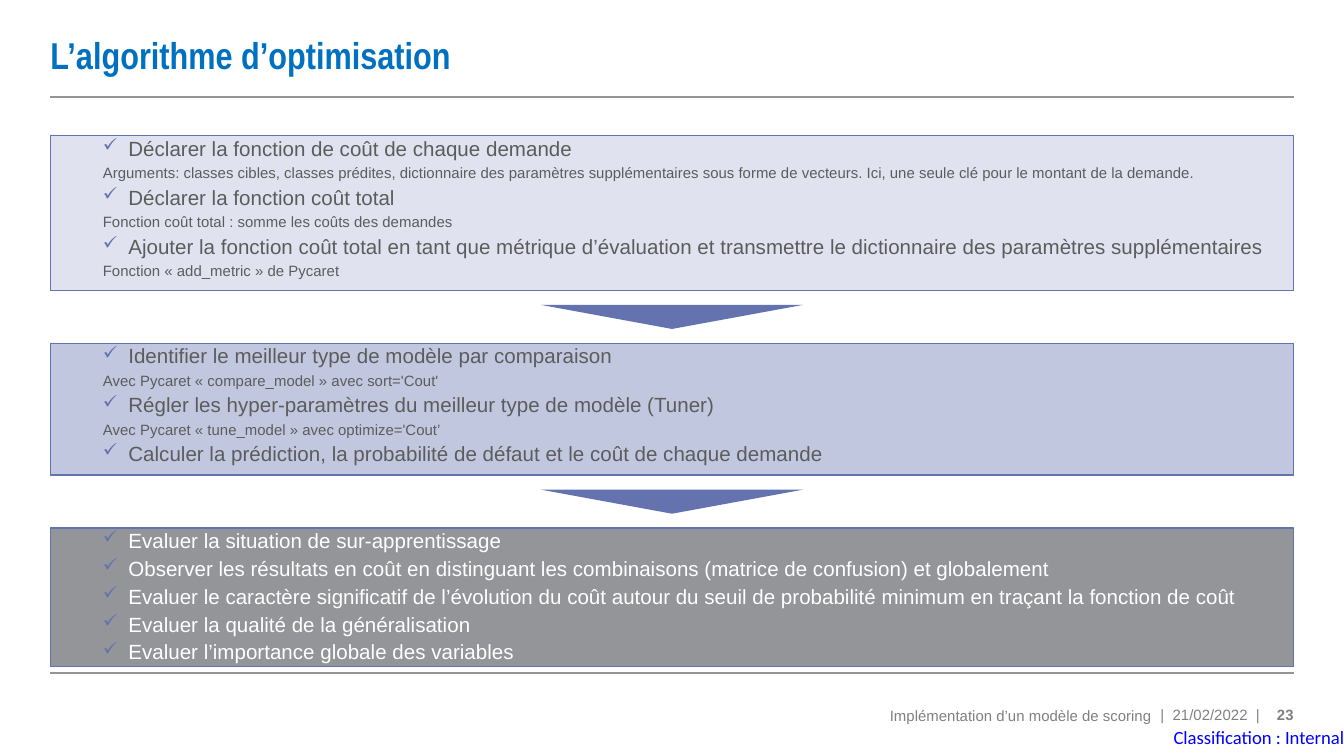
"""Build the slide on the optimisation algorithm as three stacked steps."""
from lxml.etree import SubElement
from pptx import Presentation
from pptx.dml.color import RGBColor
from pptx.enum.shapes import MSO_CONNECTOR, MSO_SHAPE
from pptx.enum.text import MSO_ANCHOR, PP_ALIGN
from pptx.oxml.ns import qn
from pptx.util import Inches, Pt

COLORS = {
    "title": "0070C0", "rule": "939598", "footer": "808080", "label": "0000FF",
    "accent": "6473AF", "pale": "E0E3EF", "mid": "C1C7DF", "grey": "939598",
    "body": "5C5C5C", "white": "FFFFFF",
}

prs = Presentation()
prs.slide_width, prs.slide_height = Inches(10), Inches(5.625)
s = prs.slides.add_slide(prs.slide_layouts[6])
col = row = prs.slide_width / 100


def rgb(name):
    return RGBColor.from_string(COLORS[name])


def write(tf, text, size=8, font="Arial", color="footer", bold=False,
          align=PP_ALIGN.LEFT, anchor=MSO_ANCHOR.MIDDLE, wrap=True,
          indent=None, bullet=None):
    tf.margin_left = tf.margin_right = tf.margin_top = tf.margin_bottom = 0
    tf.vertical_anchor, tf.word_wrap = anchor, wrap
    p = tf.paragraphs[-1]
    if p.runs:
        p = tf.add_paragraph()
    p.alignment = align
    r = p.add_run()
    r.text = text
    r.font.size, r.font.name, r.font.bold = Pt(size), font, bold
    r.font.color.rgb = rgb(color)
    if indent is not None:
        p.level, p.space_before = 1, Pt(1.7)
        pPr = p._p.get_or_add_pPr()
        hang = 1.9 if bullet else 0
        pPr.set("marL", str(int((indent + hang) * col)))
        pPr.set("indent", str(int(-hang * col)))
        if bullet:
            clr = SubElement(pPr, qn("a:buClr"))
            SubElement(clr, qn("a:srgbClr"), val=COLORS["accent"])
            SubElement(pPr, qn("a:buSzPct"), val="90000")
            SubElement(pPr, qn("a:buChar"), char=bullet)
        else:
            SubElement(pPr, qn("a:buNone"))


left, width = 3.75, 92.5
for y in (7.2, 50.1):
    rule = s.shapes.add_connector(MSO_CONNECTOR.STRAIGHT, int(left * col), int(y * row),
                                  int((left + width) * col), int(y * row))
    rule.line.color.rgb, rule.line.width = rgb("rule"), Pt(1)
    SubElement(rule._element.spPr, qn("a:effectLst"))

right = PP_ALIGN.RIGHT
labels = [
    ("L’algorithme d’optimisation", left, 1, width, 6.1,
     dict(size=20, font="Arial Narrow", color="title", bold=True)),
    ("Implémentation d’un modèle de scoring", 44.7, 52.1, 41, 2.3, dict(align=right)),
    ("|  21/02/2022  |", 86.2, 52.4, 7.7, 1.5, dict(align=PP_ALIGN.CENTER, wrap=False)),
    ("23", 94.25, 52.4, 2, 1.5, dict(bold=True, align=right)),
    ("Classification : Internal", 84, 53.4, 16, 2.9,
     dict(size=10, font="Calibri", color="label", align=right)),
]
for text, x, y, w, h, style in labels:
    sp = s.shapes.add_textbox(int(x * col), int(y * row), int(w * col), int(h * row))
    write(sp.text_frame, text, **style)

steps = [
    (11.5, "pale", "body", [
        ("Déclarer la fonction de coût de chaque demande",
         "Arguments: classes cibles, classes prédites, dictionnaire des paramètres "
         "supplémentaires sous forme de vecteurs. Ici, une seule clé pour le montant "
         "de la demande."),
        ("Déclarer la fonction coût total",
         "Fonction coût total : somme les coûts des demandes"),
        ("Ajouter la fonction coût total en tant que métrique d’évaluation et "
         "transmettre le dictionnaire des paramètres supplémentaires",
         "Fonction « add_metric » de Pycaret"),
    ]),
    (9.8, "mid", "body", [
        ("Identifier le meilleur type de modèle par comparaison",
         "Avec Pycaret « compare_model » avec sort='Cout'"),
        ("Régler les hyper-paramètres du meilleur type de modèle (Tuner)",
         "Avec Pycaret « tune_model » avec optimize='Cout’"),
        ("Calculer la prédiction, la probabilité de défaut et le coût de chaque demande",
         None),
    ]),
    (10.3, "grey", "white", [
        ("Evaluer la situation de sur-apprentissage", None),
        ("Observer les résultats en coût en distinguant les combinaisons "
         "(matrice de confusion) et globalement", None),
        ("Evaluer le caractère significatif de l’évolution du coût autour du seuil de "
         "probabilité minimum en traçant la fonction de coût", None),
        ("Evaluer la qualité de la généralisation", None),
        ("Evaluer l’importance globale des variables", None),
    ]),
]
top, gap, arrow_w, arrow_h = 10.1, 3.95, 19.6, 1.8
for i, (height, fill, color, items) in enumerate(steps):
    if i:
        sp = s.shapes.add_shape(MSO_SHAPE.ISOSCELES_TRIANGLE, int((100 - arrow_w) / 2 * col),
                                int((top - (gap + arrow_h) / 2) * row),
                                int(arrow_w * col), int(arrow_h * row))
        sp.rotation, sp.shadow.inherit = 180, False
        sp.fill.solid()
        sp.fill.fore_color.rgb = rgb("accent")
        sp.line.fill.background()
    sp = s.shapes.add_shape(MSO_SHAPE.RECTANGLE, int(left * col), int(top * row),
                            int(width * col), int(height * row))
    sp.shadow.inherit = False
    sp.fill.solid()
    sp.fill.fore_color.rgb = rgb(fill)
    sp.line.color.rgb, sp.line.width = rgb("accent"), Pt(0.75)
    for task, detail in items:
        style = dict(color=color, anchor=MSO_ANCHOR.TOP, indent=3.9)
        write(sp.text_frame, task, size=11, bullet="✓", **style)
        if detail:
            write(sp.text_frame, detail, **style)
    top += height + gap

prs.save("out.pptx")
